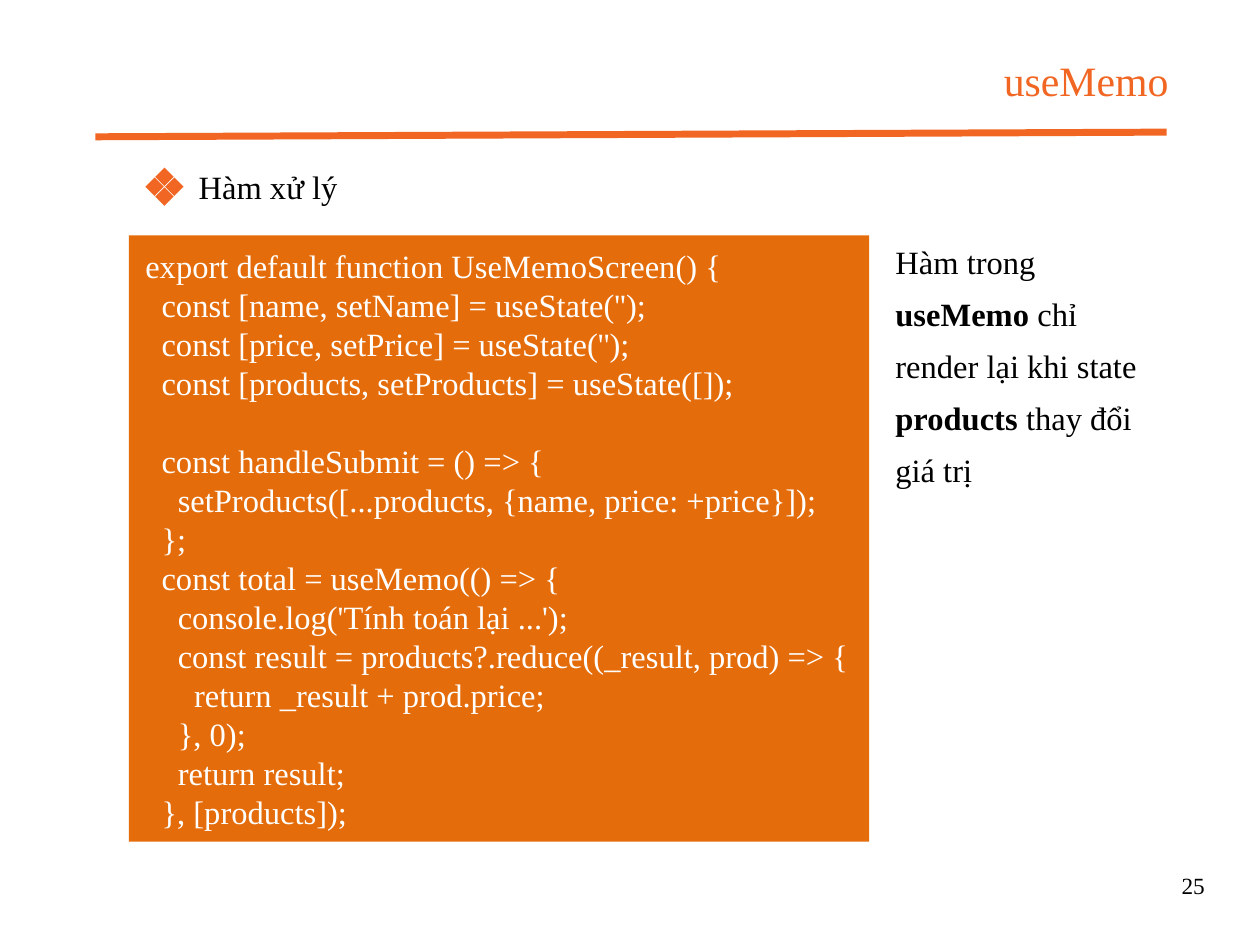
from dataclasses import dataclass

from lxml.etree import SubElement
from pptx import Presentation
from pptx.dml.color import RGBColor
from pptx.enum.shapes import MSO_CONNECTOR, MSO_SHAPE
from pptx.enum.text import MSO_ANCHOR, PP_ALIGN
from pptx.oxml.ns import qn
from pptx.shapes.autoshape import Shape
from pptx.slide import Slide
from pptx.util import Cm, Pt

FONT = "Times New Roman"
COLORS = {
    "accent": "F16622",
    "code_panel": "E46C0A",
    "white": "FFFFFF",
    "black": "000000",
}
CODE = """export default function UseMemoScreen() {
  const [name, setName] = useState('');
  const [price, setPrice] = useState('');
  const [products, setProducts] = useState([]);

  const handleSubmit = () => {
    setProducts([...products, {name, price: +price}]);
  };
  const total = useMemo(() => {
    console.log('Tính toán lại ...');
    const result = products?.reduce((_result, prod) => {
      return _result + prod.price;
    }, 0);
    return result;
  }, [products]);"""


@dataclass(frozen=True)
class Area:
    """A rectangle on the slide, in centimetres."""

    left: float
    top: float
    width: float
    height: float

    def lengths(self) -> tuple[Cm, Cm, Cm, Cm]:
        return Cm(self.left), Cm(self.top), Cm(self.width), Cm(self.height)


@dataclass(frozen=True)
class Span:
    text: str
    bold: bool = False


def color(name: str) -> RGBColor:
    return RGBColor.from_string(COLORS[name])


def write_paragraph(para, spans: list[Span], *, size: float = 14, spacing: float,
                    ink: str = "black", align: PP_ALIGN = PP_ALIGN.LEFT) -> None:
    para.alignment = align
    para.line_spacing = Pt(spacing)
    para.font.size = Pt(size)
    para.font.name = FONT
    for span in spans:
        run = para.add_run()
        run.text = span.text
        run.font.name = FONT
        run.font.size = Pt(size)
        run.font.bold = span.bold
        run.font.color.rgb = color(ink)


def add_text(page: Slide, area: Area, *spans: Span, **text_format) -> None:
    """Add a text box without margins; text_format goes to write_paragraph."""
    frame = page.shapes.add_textbox(*area.lengths()).text_frame
    frame.word_wrap = True
    frame.margin_left = frame.margin_right = 0
    frame.margin_top = frame.margin_bottom = 0
    write_paragraph(frame.paragraphs[0], list(spans), **text_format)


def add_filled_shape(page: Slide, kind: MSO_SHAPE, area: Area, fill: str) -> Shape:
    shape = page.shapes.add_shape(kind, *area.lengths())
    shape.shadow.inherit = False
    shape.fill.solid()
    shape.fill.fore_color.rgb = color(fill)
    shape.line.fill.background()
    return shape


def add_title_rule(page: Slide) -> None:
    rule = page.shapes.add_connector(
        MSO_CONNECTOR.STRAIGHT, Cm(1.45), Cm(2.08), Cm(17.73), Cm(2.01))
    rule.line.color.rgb = color("accent")
    rule.line.width = Pt(3)
    SubElement(rule._element.spPr, qn("a:effectLst"))


def add_code_panel(page: Slide, area: Area) -> None:
    panel = add_filled_shape(page, MSO_SHAPE.RECTANGLE, area, "code_panel")
    frame = panel.text_frame
    frame.word_wrap = True
    frame.vertical_anchor = MSO_ANCHOR.MIDDLE
    for index, code_line in enumerate(CODE.split("\n")):
        para = frame.add_paragraph() if index else frame.paragraphs[0]
        spans = [Span(code_line)] if code_line else []
        write_paragraph(para, spans, spacing=16.8, ink="white")


def add_diamond_bullet(page: Slide, center_x: float, center_y: float) -> None:
    """Four small diamonds around one centre, in centimetres."""
    offset, size = 0.15, 0.28
    for step_x, step_y in ((0, -1), (1, 0), (0, 1), (-1, 0)):
        left = center_x + step_x * offset - size / 2
        top = center_y + step_y * offset - size / 2
        add_filled_shape(page, MSO_SHAPE.DIAMOND, Area(left, top, size, size), "accent")


def main() -> None:
    deck = Presentation()
    deck.slide_width, deck.slide_height = Cm(19.15), Cm(14.4)
    page = deck.slides.add_slide(deck.slide_layouts[6])

    add_title_rule(page)
    add_text(page, Area(8.08, 0.71, 9.68, 0.97), Span("useMemo"),
             size=18, spacing=25.2, ink="accent", align=PP_ALIGN.RIGHT)
    add_text(page, Area(17.73, 13.18, 0.58, 0.51), Span("25"),
             size=10, spacing=14, align=PP_ALIGN.RIGHT)
    add_code_panel(page, Area(1.96, 3.58, 11.25, 9.22))
    add_diamond_bullet(page, 2.5, 2.84)
    add_text(page, Area(3.02, 2.44, 14.45, 0.69), Span("Hàm xử lý"), spacing=19.6)
    add_text(page, Area(13.61, 3.48, 4.14, 3.99),
             Span("Hàm trong "), Span("useMemo ", bold=True),
             Span("chỉ render lại khi state "), Span("products ", bold=True),
             Span("thay đổi giá trị"), spacing=22.4)

    deck.save("out.pptx")


if __name__ == "__main__":
    main()
